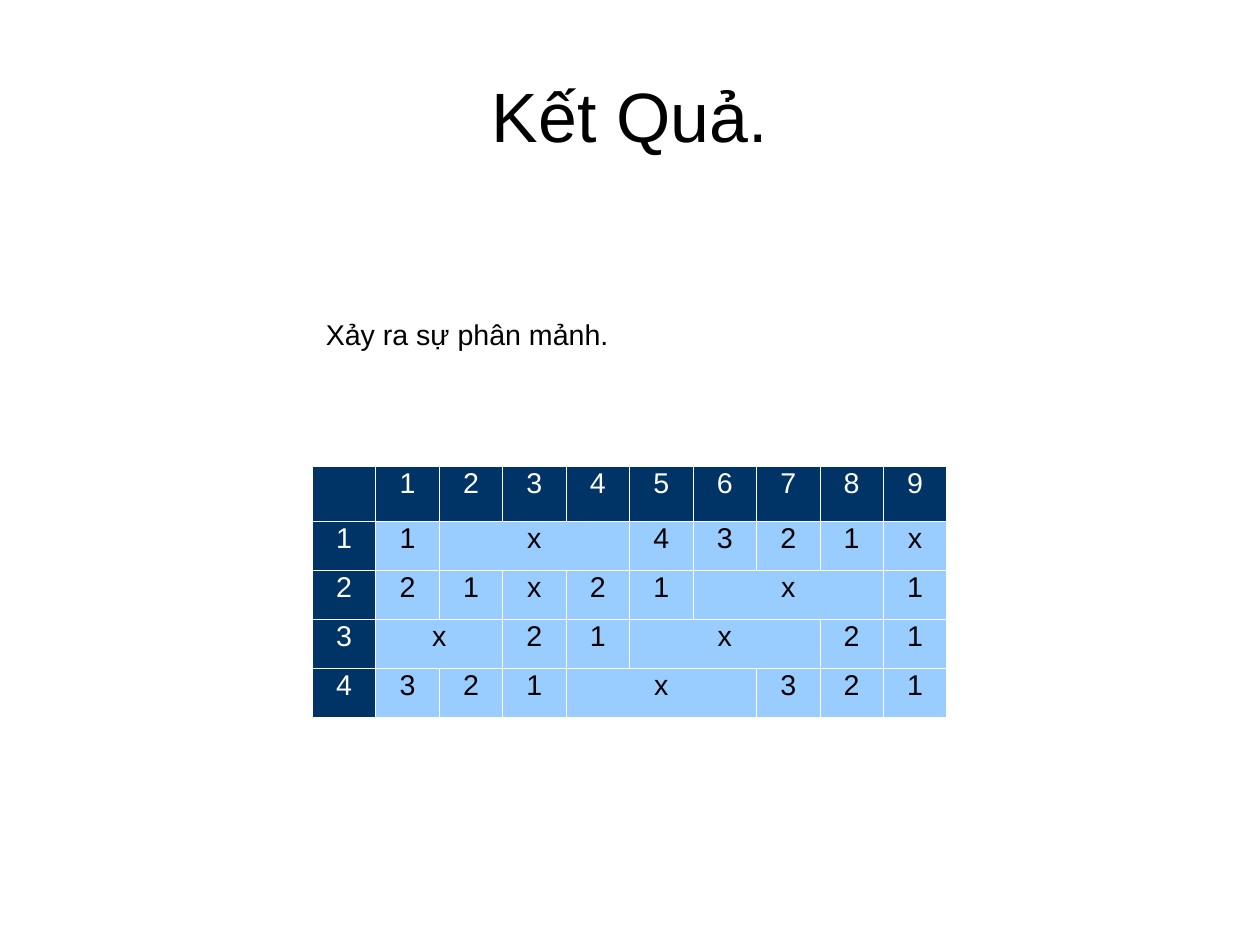
from itertools import groupby

from lxml.etree import SubElement
from pptx import Presentation
from pptx.dml.color import RGBColor
from pptx.enum.text import MSO_ANCHOR, PP_ALIGN
from pptx.oxml.ns import qn
from pptx.util import Cm, Pt

BLACK = RGBColor(0x00, 0x00, 0x00)
WHITE = RGBColor(0xFF, 0xFF, 0xFF)
NAVY = RGBColor(0x00, 0x33, 0x66)
SKY = RGBColor(0x99, 0xCC, 0xFF)

FONT = "Arial"
HEADER = " 123456789"
BLOCK_ROWS = ["11xxx4321x", "221x21xxx1", "3xx21xxx21", "4321xxx321"]
COL_W = Cm(1.41)
HEADER_H = Cm(1.22)
ROW_H = Cm(1.09)


def write_text(tf, text, size=18, color=BLACK, align=PP_ALIGN.LEFT, spacing=0.93):
    """Fill a text frame with one formatted paragraph."""
    p = tf.paragraphs[0]
    p.alignment = align
    p.line_spacing = spacing
    r = p.add_run()
    r.text = text
    r.font.name = FONT
    r.font.size = Pt(size)
    r.font.color.rgb = color


def add_text(s, text, left, top, width, height, anchor=MSO_ANCHOR.TOP,
             margins=(0.25, 0.13, 0.25, 0.13), **fmt):
    """Add a wrapped text box; margins run left, top, right, bottom."""
    tf = s.shapes.add_textbox(Cm(left), Cm(top), Cm(width), Cm(height)).text_frame
    tf.word_wrap = True
    tf.vertical_anchor = anchor
    tf.margin_left, tf.margin_top, tf.margin_right, tf.margin_bottom = map(Cm, margins)
    write_text(tf, text, **fmt)


def style_cell(cell, fill):
    """Give a cell thin white borders and a solid fill."""
    tc_pr = cell._tc.get_or_add_tcPr()
    for side in ("a:lnL", "a:lnR", "a:lnT", "a:lnB"):
        ln = SubElement(tc_pr, qn(side), w=str(Pt(0.57)))
        SubElement(SubElement(ln, qn("a:solidFill")), qn("a:srgbClr"), val=str(WHITE))
    cell.fill.solid()
    cell.fill.fore_color.rgb = fill


def fill_row(table, row, values):
    """Fill one row, merging neighbouring body cells that hold the same value."""
    for col in range(len(values)):
        style_cell(table.cell(row, col), NAVY if row == 0 or col == 0 else SKY)
    groups = [(values[0], 1)] + [(v, len(list(g))) for v, g in groupby(values[1:])]
    col = 0
    for value, span in groups:
        cell = table.cell(row, col)
        if span > 1:
            cell.merge(table.cell(row, col + span - 1))
        write_text(cell.text_frame, value.strip(), align=PP_ALIGN.CENTER, spacing=0.81,
                   color=WHITE if row == 0 or col == 0 else BLACK)
        col += span


def add_block_table(s, left, top):
    """Add the table of memory blocks."""
    rows = [HEADER] + BLOCK_ROWS
    cols = len(HEADER)
    table = s.shapes.add_table(len(rows), cols, Cm(left), Cm(top), COL_W * cols,
                               HEADER_H + ROW_H * len(BLOCK_ROWS)).table
    for column in table.columns:
        column.width = COL_W
    for i, values in enumerate(rows):
        table.rows[i].height = ROW_H if i else HEADER_H
        fill_row(table, i, values)


def main():
    """Build the slide and save it."""
    prs = Presentation()
    prs.slide_width, prs.slide_height = Cm(28), Cm(21)
    s = prs.slides.add_slide(prs.slide_layouts[6])
    add_text(s, "Kết Quả.", 1.4, 0.84, 25.2, 3.5, anchor=MSO_ANCHOR.MIDDLE,
             margins=(0, 0.1, 0, 0), size=44, align=PP_ALIGN.CENTER)
    add_block_table(s, 6.94, 10.37)
    add_text(s, "Xảy ra sự phân mảnh.", 6.99, 6.99, 14.83, 2.69)
    prs.save("out.pptx")


main()
